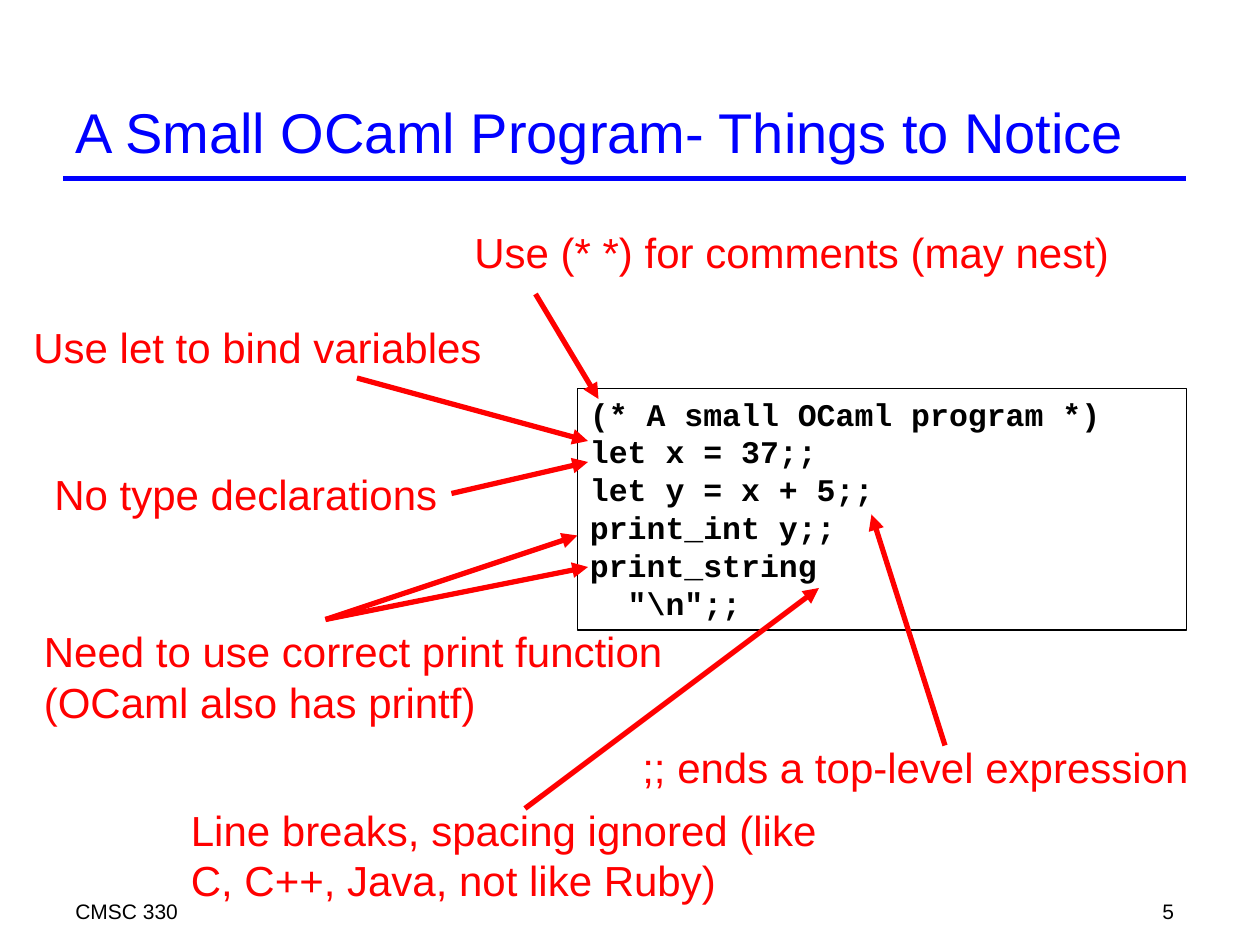
from dataclasses import dataclass

from lxml import etree
from pptx import Presentation
from pptx.dml.color import RGBColor
from pptx.enum.shapes import MSO_CONNECTOR, MSO_SHAPE
from pptx.enum.text import MSO_ANCHOR, MSO_AUTO_SIZE, PP_ALIGN
from pptx.oxml.ns import qn
from pptx.util import Inches, Pt

LEFT, RIGHT = PP_ALIGN.LEFT, PP_ALIGN.RIGHT
TOP, MIDDLE = MSO_ANCHOR.TOP, MSO_ANCHOR.MIDDLE
GROW, FIXED = MSO_AUTO_SIZE.SHAPE_TO_FIT_TEXT, MSO_AUTO_SIZE.NONE
STRAIGHT, RECT = MSO_CONNECTOR.STRAIGHT, MSO_SHAPE.RECTANGLE


@dataclass(frozen=True)
class Theme:
    blue: RGBColor = RGBColor(0, 0, 255)
    red: RGBColor = RGBColor(255, 0, 0)
    black: RGBColor = RGBColor(0, 0, 0)
    sans: str = "Arial"
    mono: str = "Courier New"
    title: int = 32
    note: int = 24
    code: int = 18
    footer: int = 12
    leading: float = 1.2
    stroke: int = 3


T = Theme()
LEFT_COL, RIGHT_COL = 6, 113
TITLE_ROW, RULE_ROW, FOOTER_ROW = 8, 17, 85

CODE = """(* A small OCaml program *)
let x = 37;;
let y = x + 5;;
print_int y;;
print_string
  "\\n";;"""

NOTES = [
    ("Use (* *) for comments (may nest)", (44, 21, 62.9, 6), False,
     [(51, 28, 57, 38)]),
    (";; ends a top-level expression", (60, 70, 54.5, 6), False,
     [(90, 71, 83, 49)]),
    ("Use let to bind variables", (2, 30, 45.1, 6), False,
     [(34, 36, 56, 42)]),
    ("No type declarations", (4, 44, 38.9, 6), False,
     [(43, 47, 56, 44)]),
    ("Need to use correct print function\n(OCaml also has printf)",
     (3, 59, 61.3, 10.8), False,
     [(31, 59, 55, 51), (31, 59, 56, 54)]),
    ("Line breaks, spacing ignored (like C, C++, Java, not like Ruby)",
     (17, 76, 63, 10.8), True,
     [(50, 77, 78, 56)]),
]


def grid(*cells):
    return [Inches(c / 12) for c in cells]


def write(shape, text, size, color, font=T.sans, bold=False, align=LEFT,
          anchor=TOP, wrap=True, auto=FIXED):
    tf = shape.text_frame
    tf.text = text
    tf.word_wrap = wrap
    tf.auto_size = auto
    tf.vertical_anchor = anchor
    for p in tf.paragraphs:
        p.alignment = align
        p.line_spacing = Pt(size * T.leading)
        for r in p.runs:
            r.font.size = Pt(size)
            r.font.name = font
            r.font.bold = bold
            r.font.color.rgb = color


def add_title(s, text):
    sp = s.shapes.title
    sp.left, sp.top, sp.width, sp.height = grid(
        LEFT_COL, TITLE_ROW, RIGHT_COL - LEFT_COL, RULE_ROW - TITLE_ROW)
    write(sp, text, T.title, T.blue, anchor=MIDDLE)


def add_text(s, box, text, size, color, **style):
    write(s.shapes.add_textbox(*grid(*box)), text, size, color, **style)


def add_code(s, box, text):
    sp = s.shapes.add_shape(RECT, *grid(*box))
    sp.shadow.inherit = False
    sp.fill.background()
    sp.line.color.rgb = T.black
    sp.line.width = Pt(1)
    write(sp, text, T.code, T.black, font=T.mono, bold=True, auto=GROW)


def add_line(s, ends, color, arrow=False):
    c = s.shapes.add_connector(STRAIGHT, *grid(*ends))
    c.line.color.rgb = color
    c.line.width = Pt(T.stroke)
    if arrow:
        etree.SubElement(c.line._get_or_add_ln(), qn("a:tailEnd"), type="triangle")
    etree.SubElement(c._element.spPr, qn("a:effectLst"))


def main():
    prs = Presentation()
    prs.slide_width, prs.slide_height = Inches(10), Inches(7.5)
    s = prs.slides.add_slide(prs.slide_layouts[5])

    add_line(s, (LEFT_COL, RULE_ROW, RIGHT_COL, RULE_ROW), T.blue)
    add_text(s, (LEFT_COL, FOOTER_ROW, 73, 3), "CMSC 330", T.footer, T.black)
    add_text(s, (RIGHT_COL - 25, FOOTER_ROW, 25, 3), "5", T.footer, T.black,
             align=RIGHT)
    add_title(s, "A Small OCaml Program- Things to Notice")
    add_code(s, (55, 37, RIGHT_COL - 55, 23), CODE)
    for text, box, wrap, arrows in NOTES:
        add_text(s, box, text, T.note, T.red, wrap=wrap, auto=GROW)
        for ends in arrows:
            add_line(s, ends, T.red, arrow=True)

    prs.save("out.pptx")


main()
